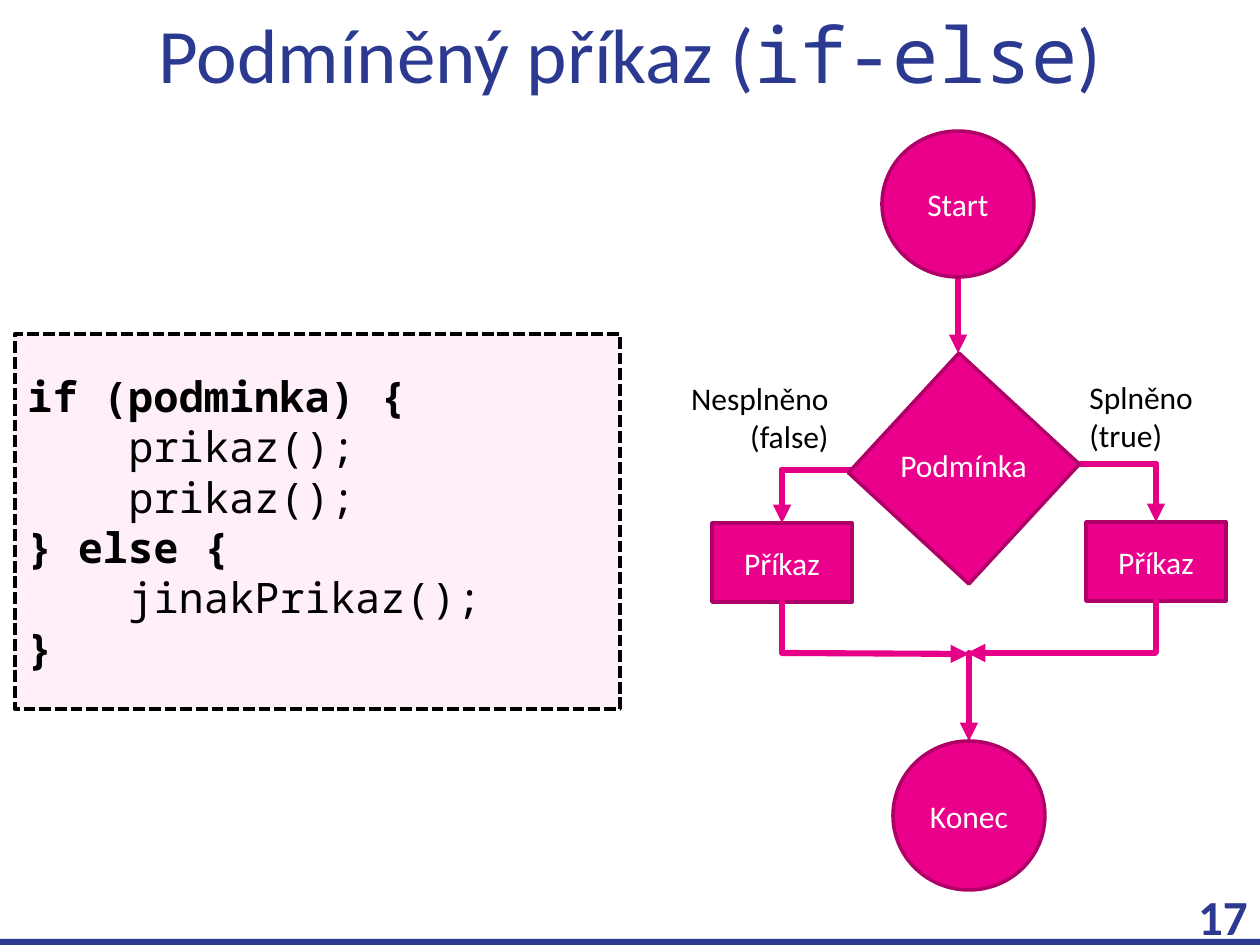
from dataclasses import dataclass
from typing import Optional

from lxml.etree import SubElement
from pptx import Presentation
from pptx.dml.color import RGBColor
from pptx.enum.dml import MSO_LINE
from pptx.enum.shapes import MSO_CONNECTOR, MSO_SHAPE
from pptx.enum.text import MSO_ANCHOR, PP_ALIGN
from pptx.oxml.ns import qn
from pptx.util import Emu, Pt

PX_PER_INCH = 126
TOP, BOTTOM = 0, 2


@dataclass(frozen=True)
class Theme:
    navy: str = "2B3990"
    pink: str = "EB008B"
    pink_border: str = "AE0067"
    arrow: str = "E60088"
    code_fill: str = "FFEFF9"
    black: str = "000000"
    white: str = "FFFFFF"
    body_font: str = "Calibri"
    code_font: str = "Noto Sans Mono"
    title_size: float = 44
    number_size: float = 28
    code_size: float = 24
    code_spacing: float = 28.8
    label_size: float = 18
    border_width: float = 2
    code_border_width: float = 2.25
    arrow_width: float = 3.5


THEME = Theme()


@dataclass(frozen=True)
class Box:
    left: int
    top: int
    width: int
    height: int

    def emu(self) -> tuple:
        return px(self.left), px(self.top), px(self.width), px(self.height)


@dataclass(frozen=True)
class Node:
    name: str
    kind: MSO_SHAPE
    box: Box
    text: str = ""
    rotation: float = 0


@dataclass(frozen=True)
class Edge:
    start: tuple[int, int]
    end: tuple[int, int]
    arrow: bool = False
    end_node: Optional[str] = None
    end_site: int = TOP


@dataclass(frozen=True)
class Label:
    box: Box
    text: str
    align: PP_ALIGN
    color: str = THEME.black
    size: float = THEME.label_size
    bold: bool = False


@dataclass(frozen=True)
class CodeLine:
    text: str
    indented: bool = False


COMMANDS = [
    Node("false", MSO_SHAPE.RECTANGLE, Box(712, 523, 140, 79), "Příkaz"),
    Node("true", MSO_SHAPE.RECTANGLE, Box(1086, 522, 140, 79), "Příkaz"),
]
STATES = [
    Node("start", MSO_SHAPE.OVAL, Box(882, 131, 152, 146), "Start"),
    Node("condition", MSO_SHAPE.RECTANGLE, Box(882, 387, 164, 163), rotation=42.7),
    Node("end", MSO_SHAPE.OVAL, Box(893, 741, 152, 149), "Konec"),
]
EDGES = [
    Edge((958, 277), (958, 353), arrow=True),
    Edge((1156, 464), (1071, 464)),
    Edge((1156, 464), (1156, 522), True, "true", TOP),
    Edge((858, 470), (782, 470)),
    Edge((782, 470), (782, 523), True, "false", TOP),
    Edge((782, 652), (782, 602), False, "false", BOTTOM),
    Edge((1156, 652), (1156, 601), False, "true", BOTTOM),
    Edge((782, 653), (969, 654), arrow=True),
    Edge((1155, 653), (967, 653), arrow=True),
    Edge((969, 653), (969, 741), arrow=True),
]
LABELS = [
    Label(Box(848, 423, 231, 83), "Podmínka", PP_ALIGN.CENTER, THEME.white),
    Label(Box(1077, 374, 166, 83), "Splněno\n(true)", PP_ALIGN.LEFT),
    Label(Box(660, 375, 181, 83), "Nesplněno\n(false)", PP_ALIGN.RIGHT),
    Label(Box(966, 893, 294, 45), "17", PP_ALIGN.RIGHT, THEME.navy,
          THEME.number_size, True),
]
CODE = [
    CodeLine("if (podminka) {"),
    CodeLine("prikaz();", True),
    CodeLine("prikaz();", True),
    CodeLine("} else {"),
    CodeLine("jinakPrikaz();", True),
    CodeLine("}"),
]
CODE_INDENT = 101


def px(value: int) -> Emu:
    return Emu(round(value * 914400 / PX_PER_INCH))


def rgb(color: str) -> RGBColor:
    return RGBColor.from_string(color)


def style_font(font, size: float, color: str, name: str = THEME.body_font,
               bold: bool = False) -> None:
    font.size, font.name, font.bold = Pt(size), name, bold
    font.color.rgb = rgb(color)


def write_text(shape, text: str, align: PP_ALIGN, size: float, color: str,
               bold: bool = False) -> None:
    frame = shape.text_frame
    frame.word_wrap = True
    frame.vertical_anchor = MSO_ANCHOR.MIDDLE
    frame.text = text
    for paragraph in frame.paragraphs:
        paragraph.alignment = align
        for run in paragraph.runs:
            style_font(run.font, size, color, bold=bold)


def add_filled(slide, kind: MSO_SHAPE, box: Box, fill: str,
               border: Optional[str] = None, width: float = THEME.border_width):
    shape = slide.shapes.add_shape(kind, *box.emu())
    shape.shadow.inherit = False
    shape.fill.solid()
    shape.fill.fore_color.rgb = rgb(fill)
    if border:
        shape.line.color.rgb = rgb(border)
        shape.line.width = Pt(width)
    else:
        shape.line.fill.background()
    return shape


def add_node(slide, node: Node):
    shape = add_filled(slide, node.kind, node.box, THEME.pink, THEME.pink_border)
    shape.rotation = node.rotation
    if node.text:
        write_text(shape, node.text, PP_ALIGN.CENTER, THEME.label_size, THEME.white)
    return shape


def add_edge(slide, edge: Edge, nodes: dict) -> None:
    points = [px(value) for value in (*edge.start, *edge.end)]
    connector = slide.shapes.add_connector(MSO_CONNECTOR.STRAIGHT, *points)
    if edge.end_node:
        connector.end_connect(nodes[edge.end_node], edge.end_site)
    connector.line.color.rgb = rgb(THEME.arrow)
    connector.line.width = Pt(THEME.arrow_width)
    properties = connector._element.spPr
    line = properties.find(qn("a:ln"))
    line.set("cap", "rnd")
    if edge.arrow:
        SubElement(line, qn("a:tailEnd"), type="triangle")
    SubElement(properties, qn("a:effectLst"))


def add_label(slide, label: Label) -> None:
    shape = slide.shapes.add_textbox(*label.box.emu())
    write_text(shape, label.text, label.align, label.size, label.color, label.bold)


def add_title(slide) -> None:
    shape = slide.shapes.add_textbox(*Box(63, 0, 1134, 106).emu())
    frame = shape.text_frame
    frame.word_wrap = True
    frame.vertical_anchor = MSO_ANCHOR.MIDDLE
    paragraph = frame.paragraphs[0]
    paragraph.alignment = PP_ALIGN.CENTER
    for text, font in (("Podmíněný příkaz (", THEME.body_font),
                       ("if-else", THEME.code_font), (")", THEME.body_font)):
        run = paragraph.add_run()
        run.text = text
        style_font(run.font, THEME.title_size, THEME.navy, font)


def add_code(slide) -> None:
    shape = add_filled(slide, MSO_SHAPE.RECTANGLE, Box(15, 334, 605, 375),
                       THEME.code_fill, THEME.black, THEME.code_border_width)
    shape.line.dash_style = MSO_LINE.SQUARE_DOT
    write_text(shape, "\n".join(line.text for line in CODE), PP_ALIGN.LEFT,
               THEME.code_size, THEME.black)
    for paragraph, line in zip(shape.text_frame.paragraphs, CODE):
        paragraph.line_spacing = Pt(THEME.code_spacing)
        style_font(paragraph.runs[0].font, THEME.code_size, THEME.black,
                   THEME.code_font, not line.indented)
        if line.indented:
            paragraph._p.get_or_add_pPr().set("marL", str(px(CODE_INDENT)))


def main() -> None:
    presentation = Presentation()
    presentation.slide_width, presentation.slide_height = px(1260), px(945)
    slide = presentation.slides.add_slide(presentation.slide_layouts[6])
    add_filled(slide, MSO_SHAPE.RECTANGLE, Box(0, 939, 1260, 6), THEME.navy)
    add_title(slide)
    add_code(slide)
    nodes = {node.name: add_node(slide, node) for node in COMMANDS}
    for edge in EDGES:
        add_edge(slide, edge, nodes)
    for node in STATES:
        add_node(slide, node)
    for label in LABELS:
        add_label(slide, label)
    presentation.save("out.pptx")


if __name__ == "__main__":
    main()
